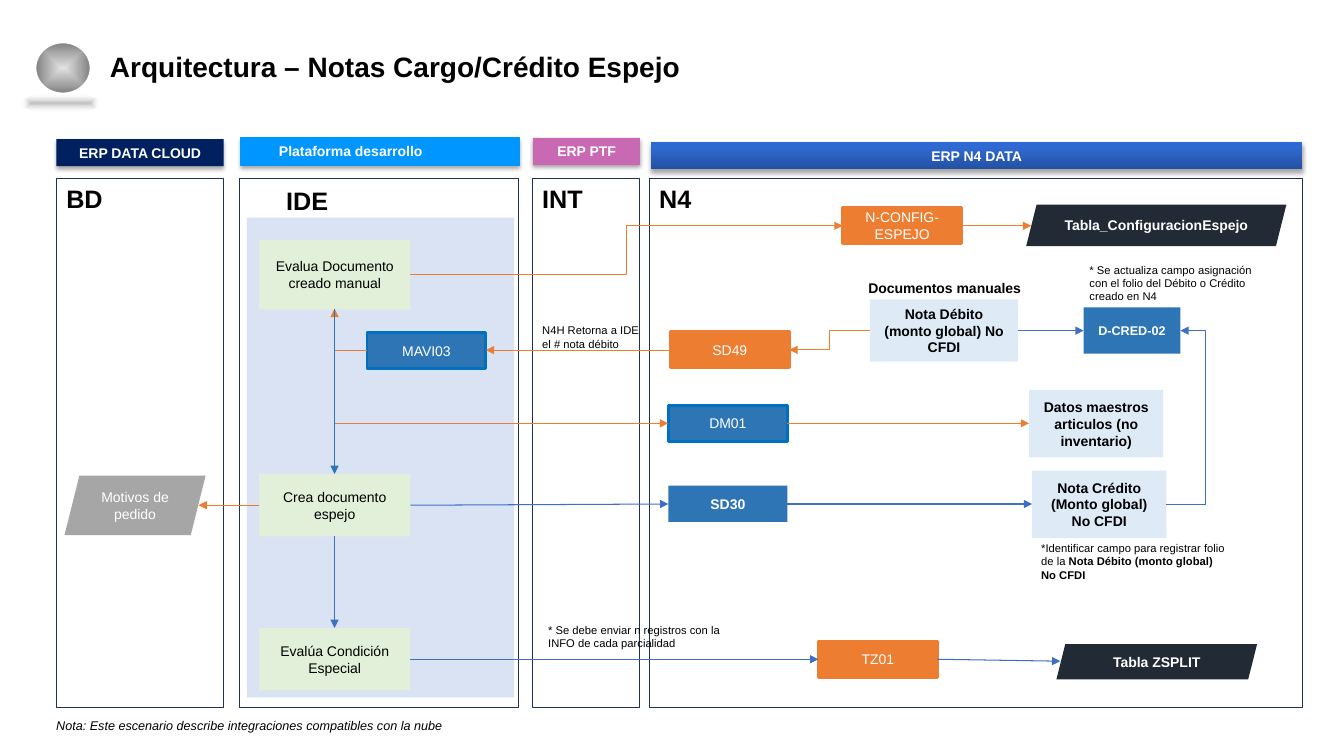
import pptx
import pptx.dml.color
import pptx.enum.shapes
import pptx.enum.text
import pptx.oxml
import pptx.oxml.ns
import pptx.util

Pt = pptx.util.Pt
RGB = pptx.dml.color.RGBColor
SHAPE = pptx.enum.shapes.MSO_SHAPE
CONNECTOR = pptx.enum.shapes.MSO_CONNECTOR
ANCHOR = pptx.enum.text.MSO_ANCHOR
ALIGN = pptx.enum.text.PP_ALIGN

BLACK = RGB(0x00, 0x00, 0x00)
WHITE = RGB(0xFF, 0xFF, 0xFF)
NAVY = RGB(0x00, 0x20, 0x60)
LANE_EDGE = RGB(0x1E, 0x32, 0x56)
AZURE = RGB(0x00, 0x96, 0xFF)
PINK = RGB(0xCA, 0x69, 0xB3)
LAVENDER = RGB(0xDA, 0xE3, 0xF3)
GREEN = RGB(0xE2, 0xF0, 0xD9)
PALE = RGB(0xDE, 0xEB, 0xF7)
BLUE = RGB(0x2E, 0x75, 0xB6)
BLUE_EDGE = RGB(0x00, 0x70, 0xC0)
BLUE_FLOW = RGB(0x3F, 0x6F, 0xC3)
ORANGE = RGB(0xED, 0x7D, 0x31)
DARK = RGB(0x22, 0x2A, 0x35)
GREY = RGB(0xA6, 0xA6, 0xA6)
NAMESPACE = pptx.oxml.ns.nsdecls("a")
RADIAL = ('<a:path path="rect"><a:fillToRect l="50000" t="50000" '
          'r="50000" b="50000"/></a:path>')


class Diagram:
    """Holds the text style and the current page, and draws each kind of element."""

    font = "Arial"

    def __init__(self, page):
        self.page = page

    def set_text(self, shape, text, size=10, color=BLACK, bold=False, italic=False,
                 align=ALIGN.LEFT, anchor=ANCHOR.TOP):
        frame = shape.text_frame
        frame.word_wrap = True
        frame.vertical_anchor = anchor
        frame.text = text
        for para in frame.paragraphs:
            para.alignment = align
            para.font.name = self.font
            para.font.size = Pt(size)
            para.font.bold = bold
            para.font.italic = italic
            para.font.color.rgb = color
        return frame

    def shape(self, left, top, width, height, fill=None, edge=None, weight=0.75,
              kind=SHAPE.RECTANGLE):
        shape = self.page.shapes.add_shape(kind, Pt(left), Pt(top), Pt(width), Pt(height))
        shape.shadow.inherit = False
        if fill is None:
            shape.fill.background()
        else:
            shape.fill.solid()
            shape.fill.fore_color.rgb = fill
        if edge is None:
            shape.line.fill.background()
        else:
            shape.line.color.rgb = edge
            shape.line.width = Pt(weight)
        return shape

    def gradient(self, shape, stops, shade):
        marks = "".join(
            f'<a:gs pos="{place * 1000}"><a:srgbClr val="{color}">'
            f'<a:alpha val="{alpha * 1000}"/></a:srgbClr></a:gs>'
            for place, color, alpha in stops)
        fill = pptx.oxml.parse_xml(
            f'<a:gradFill {NAMESPACE} rotWithShape="1"><a:gsLst>{marks}</a:gsLst>{shade}</a:gradFill>')
        properties = shape.element.spPr
        solid = properties.find(pptx.oxml.ns.qn("a:solidFill"))
        properties.replace(solid, fill)

    def header(self, left, top, width, text, fill, edge=None):
        shape = self.shape(left, top, width, 19.4, fill, edge)
        effects = shape.element.spPr.find(pptx.oxml.ns.qn("a:effectLst"))
        effects.append(pptx.oxml.parse_xml(
            f'<a:outerShdw {NAMESPACE} blurRad="{Pt(3.1)}" dist="{Pt(1.8)}" dir="5400000" '
            'rotWithShape="0"><a:srgbClr val="000000"><a:alpha val="35000"/></a:srgbClr></a:outerShdw>'))
        self.set_text(shape, text, color=WHITE, bold=True, align=ALIGN.CENTER)
        return shape

    def lane(self, left, width, text):
        shape = self.shape(left, 127.4, width, 378, edge=LANE_EDGE)
        if text:
            self.set_text(shape, text, 18, bold=True)

    def step(self, left, top, width, height, text, fill, color=BLACK, bold=False,
             edge=None, size=10, kind=SHAPE.RECTANGLE):
        shape = self.shape(left, top, width, height, fill, edge, 2, kind)
        self.set_text(shape, text, size, color, bold, align=ALIGN.CENTER, anchor=ANCHOR.MIDDLE)

    def label(self, left, top, width, height, text, size=8, **style):
        box = self.page.shapes.add_textbox(Pt(left), Pt(top), Pt(width), Pt(height))
        return self.set_text(box, text, size, **style)

    def arrow(self, start, end, color, bend=None):
        kind = CONNECTOR.STRAIGHT if bend is None else CONNECTOR.ELBOW
        line = self.page.shapes.add_connector(kind, *map(Pt, start + end))
        line.line.color.rgb = color
        line.line.width = Pt(0.75)
        properties = line.element.spPr
        properties.get_or_add_ln().append(
            pptx.oxml.parse_xml(f'<a:tailEnd {NAMESPACE} type="triangle"/>'))
        properties.append(pptx.oxml.parse_xml(f'<a:effectLst {NAMESPACE}/>'))
        if bend is not None:
            guides = properties.find(pptx.oxml.ns.qn("a:prstGeom")).get_or_add_avLst()
            guides.append(pptx.oxml.parse_xml(
                f'<a:gd {NAMESPACE} name="adj1" fmla="val {round(bend * 100000)}"/>'))


def draw_heading(diagram):
    ball = diagram.shape(25.2, 30.2, 39.6, 36.7, GREY, WHITE, 1.5, SHAPE.OVAL)
    diagram.gradient(ball, [(0, "E0E0E0", 100), (100, "808080", 100)], RADIAL)
    shade = diagram.shape(15.8, 67, 55.4, 13.7, GREY, kind=SHAPE.OVAL)
    diagram.gradient(shade, [(0, "808080", 50), (100, "FFFFFF", 0)], RADIAL)
    title = diagram.page.shapes.title
    title.left, title.top, title.width, title.height = map(Pt, (71.3, 34.6, 447.8, 28.8))
    frame = diagram.set_text(title, "Arquitectura – Notas Cargo/Crédito Espejo", 20, bold=True)
    frame.paragraphs[0].line_spacing = 0.9


def draw_lanes(diagram):
    for left, width, text in [(40.3, 119.5, "BD"), (171.4, 198.7, ""),
                              (380.2, 76.3, "INT"), (463.7, 466.6, "N4")]:
        diagram.lane(left, width, text)
    diagram.shape(176.4, 155.5, 190.8, 342.7, LAVENDER)
    diagram.label(197.3, 128.9, 69.1, 28.8, "IDE", 18, bold=True)
    diagram.header(40.3, 99.4, 119.5, "ERP DATA CLOUD", NAVY)
    platform = diagram.header(172.1, 98.6, 198.7, "Plataforma desarrollo", AZURE, AZURE)
    platform.text_frame.margin_right = Pt(49)
    diagram.header(380.9, 98.6, 76.3, "ERP PTF", PINK)
    suite = diagram.header(465.1, 101.5, 465.1, "ERP N4 DATA", BLUE)
    diagram.gradient(suite, [(0, "2451A1", 100), (80, "2F69D1", 100), (100, "2C69D5", 100)],
                     '<a:lin ang="16200000" scaled="0"/>')


def draw_steps(diagram):
    for top, height, text in [(171.4, 49.7, "Evalua Documento creado manual"),
                              (338.6, 44.6, "Crea documento espejo"),
                              (448.6, 44.6, "Evalúa Condición Especial")]:
        diagram.step(185.1, top, 108, height, text, GREEN)
    for left, top, text, fill, edge in [
            (262.1, 237.4, "MAVI03", BLUE, BLUE_EDGE), (477.4, 289.4, "DM01", BLUE, BLUE_EDGE),
            (477.4, 347, "SD30", BLUE, None), (478.8, 236.9, "SD49", ORANGE, ORANGE),
            (584.6, 457.9, "TZ01", ORANGE, ORANGE),
            (601.9, 148.3, "N-CONFIG-ESPEJO", ORANGE, ORANGE)]:
        diagram.step(left, top, 85, 25.9, text, fill, WHITE, edge is None, edge)
    for left, top, width, height, text in [
            (621.4, 213.8, 105.8, 44.6, "Nota Débito (monto global) No CFDI"),
            (735.1, 278.6, 95.8, 48.2, "Datos maestros articulos (no inventario)"),
            (737.3, 336.2, 95.8, 48.2, "Nota Crédito\n(Monto global)\nNo CFDI")]:
        diagram.step(left, top, width, height, text, PALE, bold=True)
    diagram.step(774, 219.6, 69.1, 33.1, "D-CRED-02", BLUE, WHITE, True, size=9)
    for left, top, width, height, text, fill in [
            (754.6, 460.1, 143.3, 25.2, "Tabla ZSPLIT", DARK),
            (733, 146.2, 185.8, 29.5, "Tabla_ConfiguracionEspejo", DARK),
            (46.1, 339.8, 100.8, 42.5, "Motivos de pedido", GREY)]:
        diagram.step(left, top, width, height, text, fill, WHITE, fill == DARK,
                     kind=SHAPE.PARALLELOGRAM)


def draw_flows(diagram):
    for start, end, color, bend in [
            ((621.4, 236.2), (563.8, 249.9), ORANGE, 0.5),
            ((478.8, 250.1), (347.1, 250.1), ORANGE, None),
            ((562.4, 302.4), (735.1, 302.4), ORANGE, None),
            ((239, 302.4), (477.4, 302.4), ORANGE, None),
            ((262.1, 250.4), (239, 220.6), ORANGE, 1),
            ((185.1, 360.9), (141.8, 360.9), ORANGE, None),
            ((293.1, 196.2), (601.9, 161.3), ORANGE, 0.5),
            ((686.9, 161.3), (736.6, 161.3), ORANGE, None),
            ((562.4, 360), (737.3, 360), BLUE_FLOW, None),
            ((293.1, 360.9), (477.4, 360), BLUE_FLOW, None),
            ((293.1, 470.9), (584.6, 470.9), BLUE_FLOW, None),
            ((669.6, 470.9), (757.4, 472.3), BLUE_FLOW, None),
            ((239, 383.2), (239, 448.6), BLUE_FLOW, None),
            ((239, 220.6), (239, 338.6), BLUE, None),
            ((727.2, 236.2), (774, 236.2), BLUE_FLOW, None),
            ((833.1, 360.2), (843.1, 236.2), BLUE_FLOW, 2.8)]:
        diagram.arrow(start, end, color, bend)


def draw_notes(diagram):
    diagram.label(610.6, 195.8, 128.2, 19.4, "Documentos manuales", 10, bold=True,
                  align=ALIGN.CENTER)
    diagram.label(771.1, 184.3, 136.1, 36,
                  "* Se actualiza campo asignación con el folio del Débito o Crédito creado en N4")
    diagram.label(380.2, 227.5, 88.6, 26.6, "N4H Retorna a IDE el # nota débito")
    diagram.label(384.5, 441.4, 153.4, 26.6,
                  "* Se debe enviar n registros con la INFO de cada parcialidad")
    frame = diagram.label(736.6, 383, 152.6, 36,
                          "*Identificar campo para registrar folio de la \nNo CFDI")
    first, last = frame.paragraphs
    span = first.add_run()
    span.text = "Nota Débito (monto global)"
    span.font.bold = True
    last.font.bold = True
    diagram.label(33.1, 509, 413.3, 18,
                  "Nota: Este escenario describe integraciones compatibles con la nube", 9, italic=True)


def main():
    deck = pptx.Presentation()
    deck.slide_width, deck.slide_height = Pt(960), Pt(540)
    diagram = Diagram(deck.slides.add_slide(deck.slide_layouts[5]))
    for draw in (draw_heading, draw_lanes, draw_steps, draw_flows, draw_notes):
        draw(diagram)
    deck.save("out.pptx")


if __name__ == "__main__":
    main()
